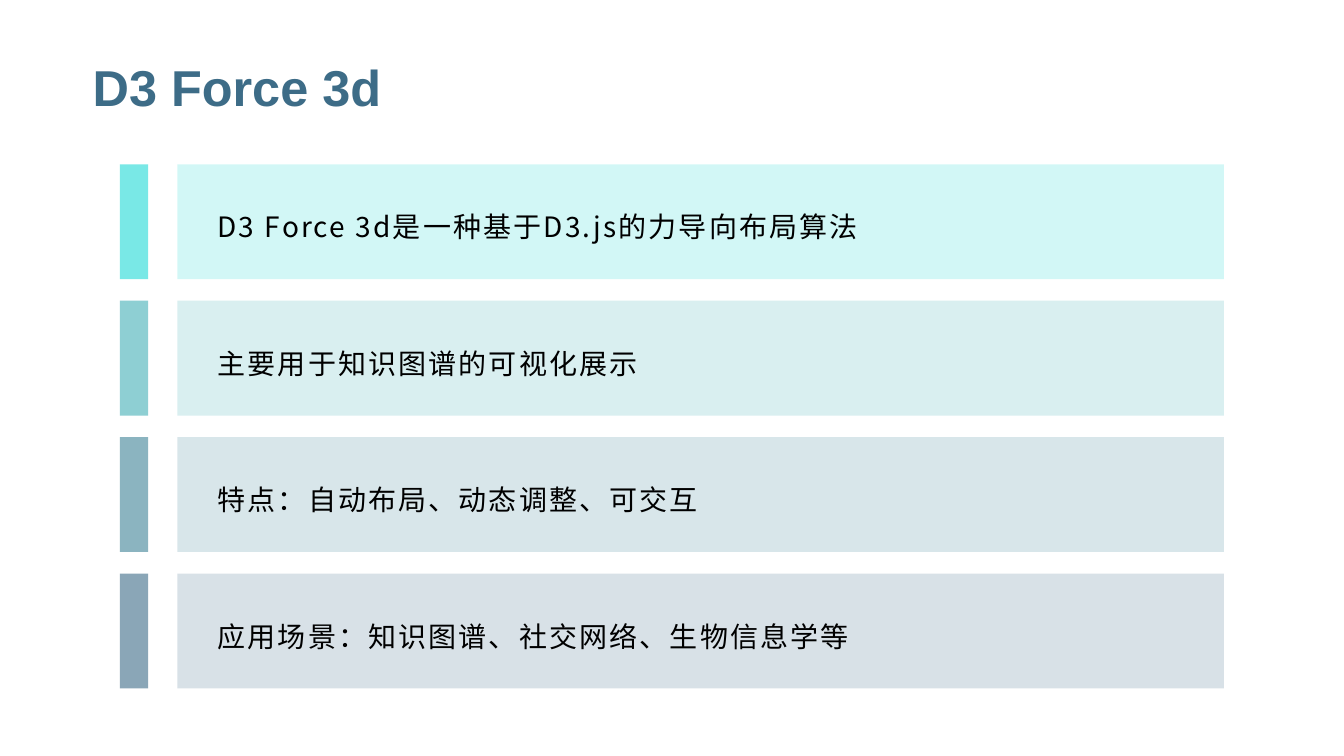
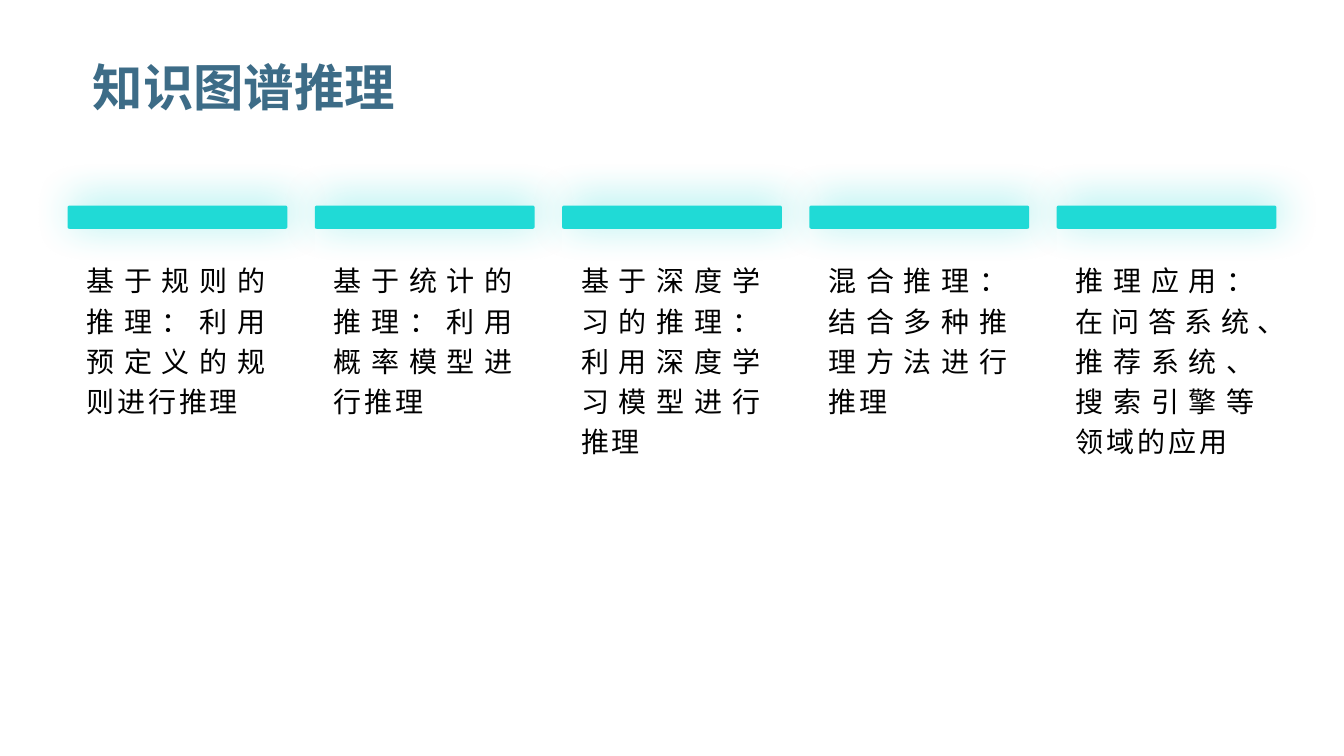
import pptx
import pptx.dml.color
import pptx.enum.shapes
import pptx.enum.text
import pptx.oxml
import pptx.oxml.ns
import pptx.util

TEAL, SLATE, WHITE, BLACK = "20DAD6", "3D6C87", "FFFFFF", "000000"
TITLE_FONT, BODY_FONT = "Arial", "Noto Sans CJK SC"
SLIDE_W, SLIDE_H = 13.33, 7.5

FORCE_TITLE = "D3 Force 3d"
FORCE_ROWS = [
    ("D3 Force 3d是一种基于D3.js的力导向布局算法", TEAL),
    ("主要用于知识图谱的可视化展示", "43AFB6"),
    ("特点：自动布局、动态调整、可交互", "3F8297"),
    ("应用场景：知识图谱、社交网络、生物信息学等", SLATE),
]

REASONING_TITLE = "知识图谱推理"
REASONING_COLUMNS = [
    "基于规则的推理：利用预定义的规则进行推理",
    "基于统计的推理：利用概率模型进行推理",
    "基于深度学习的推理：利用深度学习模型进行推理",
    "混合推理：结合多种推理方法进行推理",
    "推理应用：在问答系统、推荐系统、搜索引擎等领域的应用",
]

SHAPES = pptx.enum.shapes.MSO_SHAPE
ALIGN = pptx.enum.text.PP_ALIGN
ANCHOR = pptx.enum.text.MSO_ANCHOR
DRAWING_NS = pptx.oxml.ns.nsdecls("a")


def color(hex_string):
    return pptx.dml.color.RGBColor.from_string(hex_string)


def inches(*lengths):
    return [pptx.util.Inches(length) for length in lengths]


def spread(start, end, size, count):
    """Starts of equally spaced items that fill start to end."""
    step = (end - start - size) / (count - 1)
    return [start + i * step for i in range(count)]


def add_block(slide, box, fill, kind=SHAPES.RECTANGLE, opacity=100):
    block = slide.shapes.add_shape(kind, *inches(*box))
    block.shadow.inherit = False
    block.fill.solid()
    block.fill.fore_color.rgb = color(fill)
    block.line.fill.background()
    if opacity < 100:
        tint = block._element.spPr.find(".//" + pptx.oxml.ns.qn("a:srgbClr"))
        tint.append(pptx.oxml.parse_xml(
            f'<a:alpha {DRAWING_NS} val="{opacity * 1000}"/>'))
    return block


def add_shadow(block, tint, opacity, blur, distance, angle):
    """Outer shadow: opacity in percent, lengths in points, angle in degrees."""
    effects = block._element.spPr.find(pptx.oxml.ns.qn("a:effectLst"))
    effects.append(pptx.oxml.parse_xml(
        f'<a:outerShdw {DRAWING_NS} blurRad="{pptx.util.Pt(blur)}" '
        f'dist="{pptx.util.Pt(distance)}" dir="{angle * 60000}" '
        f'algn="ctr" rotWithShape="0"><a:srgbClr val="{tint}">'
        f'<a:alpha val="{opacity * 1000}"/></a:srgbClr></a:outerShdw>'))


def add_text(slide, box, text, size=20, font=BODY_FONT, ink=BLACK, bold=False,
             anchor=ANCHOR.TOP, align=ALIGN.LEFT, line=1.0, tracking=0):
    frame = slide.shapes.add_textbox(*inches(*box)).text_frame
    frame.word_wrap = True
    frame.vertical_anchor = anchor
    paragraph = frame.paragraphs[0]
    paragraph.alignment = align
    paragraph.line_spacing = line
    run = paragraph.add_run()
    run.text = text
    run.font.size = pptx.util.Pt(size)
    run.font.bold = bold
    run.font.color.rgb = color(ink)
    run.font.name = font
    properties = run._r.get_or_add_rPr()
    properties.set("lang", "zh-CN")
    properties.set("spc", str(int(tracking * 100)))
    properties.append(pptx.oxml.parse_xml(
        f'<a:ea {DRAWING_NS} typeface="{BODY_FONT}"/>'))
    return frame


def add_titled_slide(deck, title):
    slide = deck.slides.add_slide(deck.slide_layouts[6])
    frame = add_text(slide, (0.92, 0.39, 11.5, 0.94), title, size=36,
                     font=TITLE_FONT, ink=SLATE, bold=True, anchor=ANCHOR.MIDDLE)
    frame.margin_left = frame.margin_right = 0
    frame.margin_top = frame.margin_bottom = 0
    return slide


def build_force_slide(deck):
    slide = add_titled_slide(deck, FORCE_TITLE)
    row_h = 1.14
    tops = spread(1.63, 6.83, row_h, len(FORCE_ROWS))
    for top, (text, tint) in zip(tops, FORCE_ROWS):
        add_block(slide, (1.76, top, 10.38, row_h), tint, opacity=20)
        add_block(slide, (1.19, top, 0.28, row_h), tint, opacity=60)
        add_text(slide, (2.06, top + 0.1, 9.93, row_h - 0.2), text,
                 anchor=ANCHOR.MIDDLE, line=1.3, tracking=1.5)


def build_reasoning_slide(deck):
    slide = add_titled_slide(deck, REASONING_TITLE)
    margin, top, card_w = 0.67, 2.04, 2.18
    lefts = spread(margin, SLIDE_W - margin, card_w, len(REASONING_COLUMNS))
    for left, text in zip(lefts, REASONING_COLUMNS):
        card = add_block(slide, (left, top, card_w, 4.39), WHITE,
                         SHAPES.ROUNDED_RECTANGLE)
        card.adjustments[0] = 0
        add_shadow(card, WHITE, 40, 22, 9, 106)
        bar = add_block(slide, (left, top, card_w, 0.23), TEAL,
                        SHAPES.ROUNDED_RECTANGLE)
        bar.adjustments[0] = 0.08
        add_shadow(bar, TEAL, 45, 30, 5, 315)
        add_text(slide, (left + 0.09, 2.5, card_w - 0.18, 3.78), text,
                 align=ALIGN.JUSTIFY, line=1.2, tracking=2)


def main():
    deck = pptx.Presentation()
    deck.slide_width, deck.slide_height = inches(SLIDE_W, SLIDE_H)
    build_force_slide(deck)
    build_reasoning_slide(deck)
    deck.save("out.pptx")


if __name__ == "__main__":
    main()
